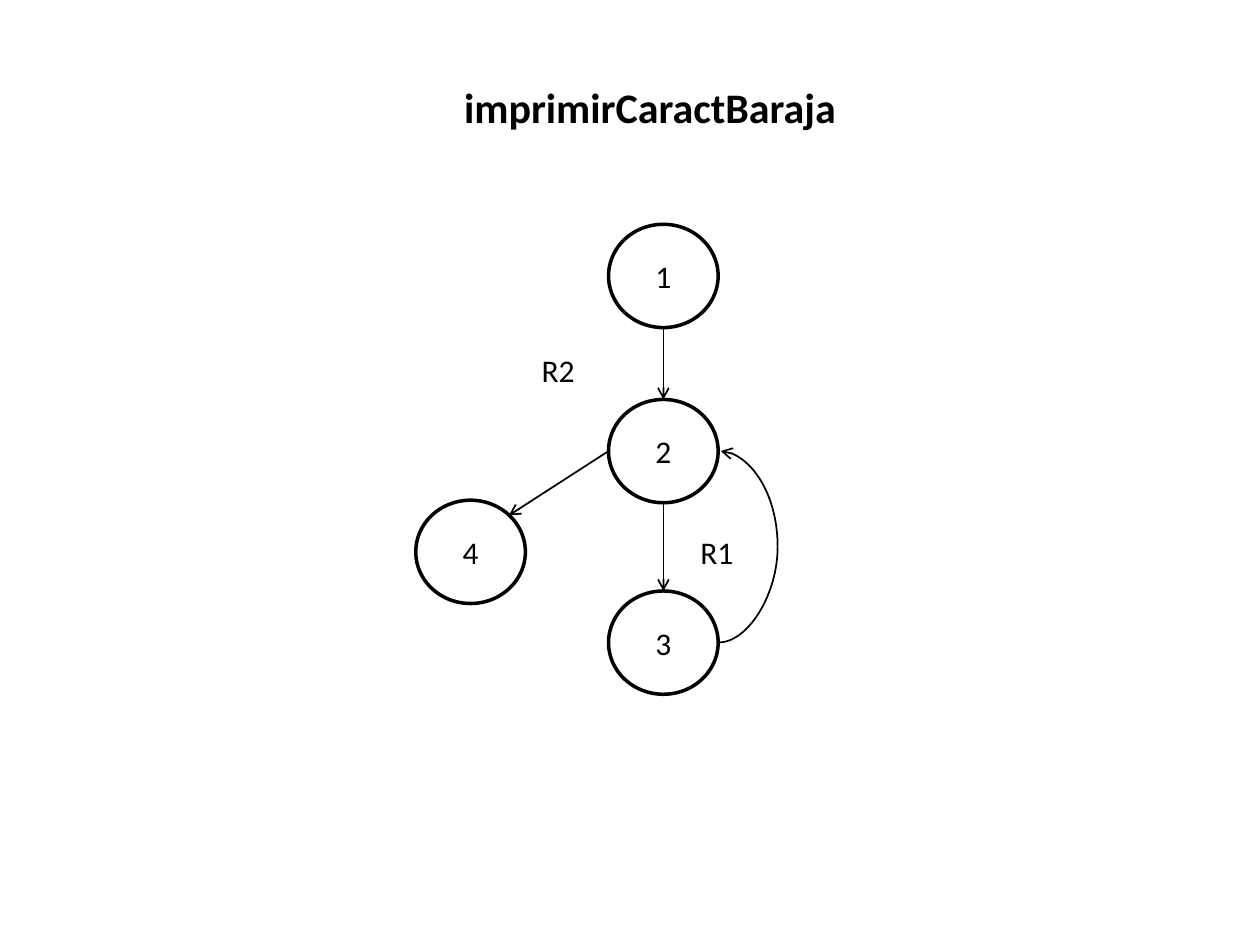
from dataclasses import dataclass

from lxml.etree import SubElement
from pptx import Presentation
from pptx.dml.color import RGBColor
from pptx.enum.shapes import MSO_CONNECTOR, MSO_SHAPE
from pptx.enum.text import MSO_ANCHOR, MSO_AUTO_SIZE, PP_ALIGN
from pptx.oxml.ns import qn
from pptx.util import Inches, Pt

BLACK = RGBColor(0x00, 0x00, 0x00)
NODE_WIDTH, NODE_HEIGHT = 0.87, 0.82
MAIN_LEFT = 4.83
LOOP_RIGHT = 6.17
BODY_FORMAT = {"name": "Calibri", "size": Pt(18), "bold": False}
TITLE_FORMAT = {"name": "Calibri", "size": Pt(24), "bold": True}


@dataclass(frozen=True)
class Node:
    text: str
    left: float
    top: float

    @property
    def middle_x(self) -> float:
        return self.left + NODE_WIDTH / 2

    @property
    def middle_y(self) -> float:
        return self.top + NODE_HEIGHT / 2

    @property
    def right(self) -> float:
        return self.left + NODE_WIDTH

    @property
    def bottom(self) -> float:
        return self.top + NODE_HEIGHT


@dataclass(frozen=True)
class RegionLabel:
    text: str
    left: float
    top: float


def write_text(frame, text: str, text_format: dict, alignment: PP_ALIGN) -> None:
    frame.text = text
    paragraph = frame.paragraphs[0]
    paragraph.alignment = alignment
    run = paragraph.runs[0]
    for attribute, value in text_format.items():
        setattr(run.font, attribute, value)
    run.font.color.rgb = BLACK


def draw_node(slide, node: Node) -> None:
    circle = slide.shapes.add_shape(
        MSO_SHAPE.OVAL, Inches(node.left), Inches(node.top),
        Inches(NODE_WIDTH), Inches(NODE_HEIGHT))
    circle.shadow.inherit = False
    circle.fill.background()
    circle.line.color.rgb = BLACK
    circle.line.width = Pt(2)
    circle.text_frame.vertical_anchor = MSO_ANCHOR.MIDDLE
    write_text(circle.text_frame, node.text, BODY_FORMAT, PP_ALIGN.CENTER)


def draw_arrow(slide, start: tuple[float, float], end: tuple[float, float],
               kind: MSO_CONNECTOR = MSO_CONNECTOR.STRAIGHT):
    arrow = slide.shapes.add_connector(
        kind, *(Inches(value) for value in (*start, *end)))
    arrow.line.color.rgb = BLACK
    arrow.line.width = Pt(1)
    SubElement(arrow.line._get_or_add_ln(), qn("a:tailEnd"), type="arrow")
    SubElement(arrow._element.spPr, qn("a:effectLst"))
    return arrow


def draw_loop(slide, start: tuple[float, float], end: tuple[float, float],
              bulge_x: float) -> None:
    loop = draw_arrow(slide, start, end, MSO_CONNECTOR.CURVE)
    # The bend is a share of the connector's width, in 1/100000
    bend = round((bulge_x - start[0]) / (end[0] - start[0]) * 100000)
    adjustments = loop._element.spPr.find(qn("a:prstGeom")).get_or_add_avLst()
    SubElement(adjustments, qn("a:gd"), name="adj1", fmla=f"val {bend}")


def draw_label(slide, label: RegionLabel) -> None:
    box = slide.shapes.add_textbox(
        Inches(label.left), Inches(label.top), Inches(0.47), Inches(0.4))
    box.text_frame.word_wrap = False
    box.text_frame.auto_size = MSO_AUTO_SIZE.SHAPE_TO_FIT_TEXT
    write_text(box.text_frame, label.text, BODY_FORMAT, PP_ALIGN.LEFT)


def draw_title(slide, text: str) -> None:
    title = slide.shapes.title
    title.left, title.top = Inches(3.43), Inches(0.6)
    title.width, title.height = Inches(3.46), Inches(0.5)
    title.text_frame.word_wrap = True
    title.text_frame.auto_size = MSO_AUTO_SIZE.SHAPE_TO_FIT_TEXT
    title.text_frame.vertical_anchor = MSO_ANCHOR.TOP
    write_text(title.text_frame, text, TITLE_FORMAT, PP_ALIGN.CENTER)


def main() -> None:
    presentation = Presentation()
    presentation.slide_width = Inches(10)
    presentation.slide_height = Inches(7.5)
    slide = presentation.slides.add_slide(presentation.slide_layouts[5])

    # Flow graph nodes
    start = Node("1", MAIN_LEFT, 1.78)
    condition = Node("2", MAIN_LEFT, 3.17)
    body = Node("3", MAIN_LEFT, 4.69)
    finish = Node("4", 3.3, 3.97)
    for node in (start, condition, body, finish):
        draw_node(slide, node)

    # Downward edges
    for upper, lower in ((start, condition), (condition, body)):
        draw_arrow(slide, (upper.middle_x, upper.bottom),
                   (lower.middle_x, lower.top))

    # Loop back and exit edges
    draw_loop(slide, (body.right, body.middle_y),
              (condition.right + 0.02, condition.middle_y), LOOP_RIGHT)
    draw_arrow(slide, (condition.left, condition.middle_y), (4.04, 4.09))

    # Title and region labels
    draw_title(slide, "imprimirCaractBaraja")
    for label in (RegionLabel("R1", 5.46, 4.18), RegionLabel("R2", 4.2, 2.74)):
        draw_label(slide, label)

    presentation.save("out.pptx")


if __name__ == "__main__":
    main()
